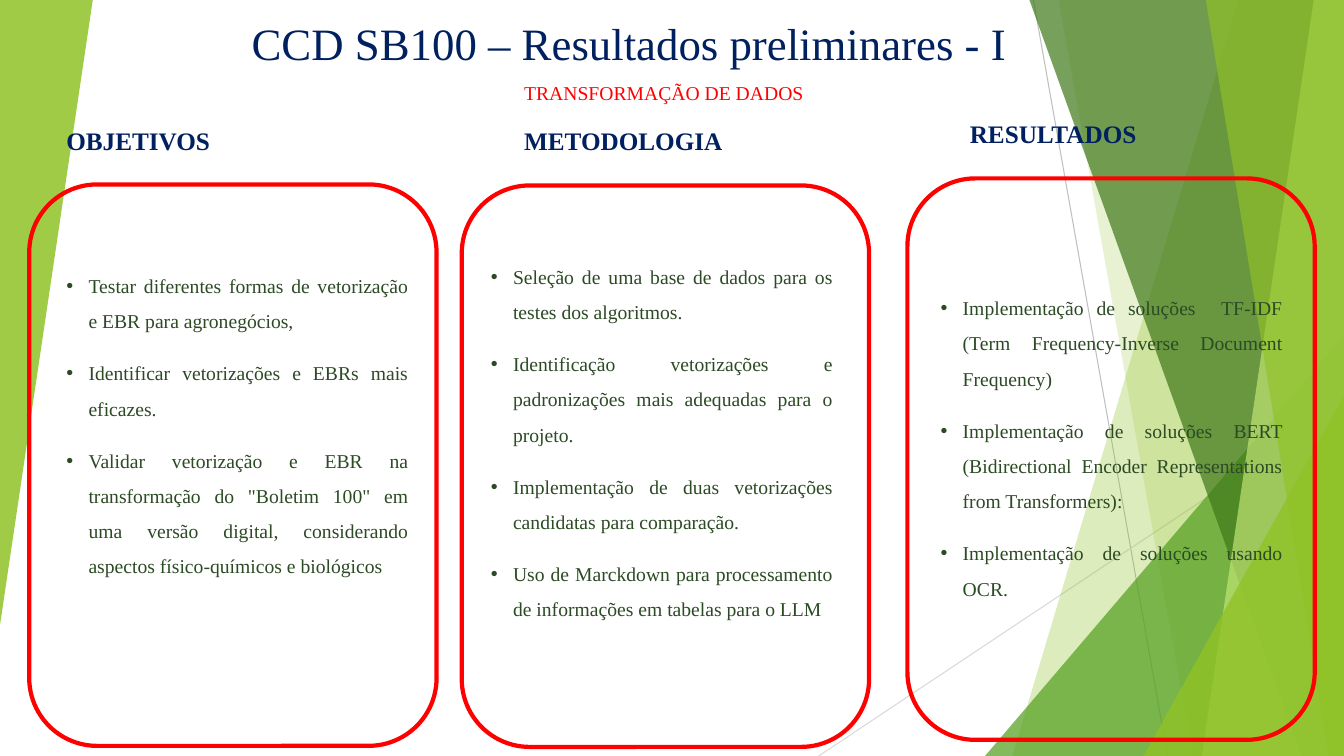
from lxml import etree
from pptx import Presentation
from pptx import util as u
from pptx.dml.color import RGBColor
from pptx.enum import shapes, text
from pptx.oxml.ns import qn

PX = 9144  # EMU per px, 100 px to the inch
WIDTH, HEIGHT = 1333, 750

NAVY = RGBColor(0x00, 0x20, 0x60)
RED = RGBColor(0xFF, 0x00, 0x00)
BODY_GREEN = RGBColor(0x2C, 0x4A, 0x24)
LIME = RGBColor(0x90, 0xC2, 0x26)
PALE_LIME = RGBColor(0xC0, 0xE4, 0x74)
GREEN = RGBColor(0x54, 0xA0, 0x21)
DARK_GREEN = RGBColor(0x3F, 0x78, 0x19)
GREY = RGBColor(0xBF, 0xBF, 0xBF)
LIGHT_GREY = RGBColor(0xD9, 0xD9, 0xD9)


class SlideBuilder:
    font_name = "Times New Roman"

    def __init__(self, slide):
        self.slide = slide
        self.shapes = slide.shapes

    def px(self, *lengths):
        return [u.Emu(length * PX) for length in lengths]

    def style(self, paragraph, size, color, bold=False):
        font = paragraph.font
        font.name, font.size, font.bold = self.font_name, u.Pt(size), bold
        font.color.rgb = color

    def fill(self, shape, color, opacity):
        shape.shadow.inherit = False
        shape.line.fill.background()
        shape.fill.solid()
        shape.fill.fore_color.rgb = color
        color_element = shape.fill._xPr.find(".//" + qn("a:srgbClr"))
        etree.SubElement(color_element, qn("a:alpha"), val=str(opacity * 1000))

    def line(self, start, end, color):
        connector = self.shapes.add_connector(
            shapes.MSO_CONNECTOR.STRAIGHT, *self.px(*start, *end))
        connector.line.color.rgb = color
        connector.line.width = u.Pt(0.75)
        etree.SubElement(connector._element.spPr, qn("a:effectLst"))

    def band(self, top_left, bottom_left, color, opacity):
        """Area from a slanted left edge to the right side of the slide."""
        builder = self.shapes.build_freeform(top_left, 0, scale=PX)
        builder.add_line_segments(
            [(WIDTH, 0), (WIDTH, HEIGHT), (bottom_left, HEIGHT)], close=True)
        self.fill(builder.convert_to_shape(), color, opacity)

    def triangle(self, box, color, opacity, rotation=0):
        shape = self.shapes.add_shape(
            shapes.MSO_SHAPE.ISOSCELES_TRIANGLE, *self.px(*box))
        shape.adjustments[0] = 1
        shape.rotation = rotation
        self.fill(shape, color, opacity)

    def title(self, box, words):
        title = self.shapes.title
        self.shapes._spTree.append(title._element)  # in front of the decoration
        title.left, title.top, title.width, title.height = self.px(*box)
        frame = title.text_frame
        frame.text = words
        frame.vertical_anchor = text.MSO_ANCHOR.TOP
        frame.auto_size = text.MSO_AUTO_SIZE.SHAPE_TO_FIT_TEXT
        paragraph = frame.paragraphs[0]
        paragraph.alignment = text.PP_ALIGN.CENTER
        self.style(paragraph, 32, NAVY)

    def text_frame(self, box, wrap=True):
        frame = self.shapes.add_textbox(*self.px(*box)).text_frame
        frame.word_wrap = wrap
        frame.auto_size = text.MSO_AUTO_SIZE.SHAPE_TO_FIT_TEXT
        return frame

    def label(self, box, words, size, color, bold=False, wrap=True):
        frame = self.text_frame(box, wrap)
        frame.text = words
        self.style(frame.paragraphs[0], size, color, bold)

    def bullets(self, box, items):
        frame = self.text_frame(box)
        for index, item in enumerate(items):
            paragraph = frame.add_paragraph() if index else frame.paragraphs[0]
            paragraph.text = item
            properties = paragraph._p.get_or_add_pPr()
            margin, indent = self.px(45, -22)
            properties.set("marL", str(margin))
            properties.set("indent", str(indent))
            etree.SubElement(properties, qn("a:buFont"), typeface="Arial")
            etree.SubElement(properties, qn("a:buChar"), char="•")
            paragraph.alignment = text.PP_ALIGN.JUSTIFY
            paragraph.line_spacing = 1.5
            paragraph.space_before = u.Pt(6 if index else 0)
            paragraph.space_after = u.Pt(6)
            self.style(paragraph, 14, BODY_GREEN)

    def frame(self, left, top):
        shape = self.shapes.add_shape(
            shapes.MSO_SHAPE.ROUNDED_RECTANGLE, *self.px(left, top, 404, 557))
        shape.shadow.inherit = False
        shape.fill.background()
        shape.line.color.rgb = RED
        shape.line.width = u.Pt(3)


# Heading, heading box, list box, frame corner, list items
COLUMNS = [
    ("OBJETIVOS", (56, 119, 170, 40), (33, 255, 382, 322), (29, 183), [
        "Testar diferentes formas de vetorização e EBR para agronegócios,",
        "Identificar vetorizações e EBRs mais eficazes.",
        "Validar vetorização e EBR na transformação do \"Boletim 100\" em uma "
        "versão digital, considerando aspectos físico-químicos e biológicos",
    ]),
    ("METODOLOGIA", (510, 119, 229, 40), (454, 246, 382, 427), (458, 184), [
        "Seleção de uma base de dados para os testes dos algoritmos.",
        "Identificação vetorizações e padronizações mais adequadas para o projeto.",
        "Implementação de duas vetorizações candidatas para comparação.",
        "Uso de Marckdown para processamento de informações em tabelas para o LLM",
    ]),
    ("RESULTADOS", (952, 112, 229, 40), (900, 277, 382, 322), (900, 177), [
        "Implementação de soluções  TF-IDF (Term Frequency-Inverse Document Frequency)",
        "Implementação de soluções BERT (Bidirectional Encoder Representations "
        "from Transformers):",
        "Implementação de soluções usando OCR.",
    ]),
]


def main():
    presentation = Presentation()
    presentation.slide_width = u.Emu(WIDTH * PX)
    presentation.slide_height = u.Emu(HEIGHT * PX)
    title_only = presentation.slide_layouts[5]
    builder = SlideBuilder(presentation.slides.add_slide(title_only))

    # Green decoration
    builder.line((1025, 0), (1158, HEIGHT), GREY)
    builder.line((WIDTH, 403), (812, HEIGHT), LIGHT_GREY)
    builder.band(1228, 1004, LIME, 30)
    builder.band(1050, 1183, LIME, 20)
    builder.triangle((977, 333, 356, 417), GREEN, 72)
    builder.band(1021, 1291, DARK_GREEN, 70)
    builder.band(1303, 1192, PALE_LIME, 70)
    builder.band(1196, 1318, LIME, 65)
    builder.triangle((1134, 393, 199, 357), LIME, 80)
    builder.triangle((0, 0, 92, 620), LIME, 85, rotation=180)

    # Title and subtitle
    builder.title((167, 11, 914, 64), "CCD SB100 – Resultados preliminares - I")
    builder.label((510, 75, 300, 34), "TRANSFORMAÇÃO DE DADOS", 14, RED, wrap=False)

    # Three columns
    for heading, heading_box, list_box, corner, items in COLUMNS:
        builder.label(heading_box, heading, 18, NAVY, bold=True)
        builder.bullets(list_box, items)
        builder.frame(*corner)

    presentation.save("out.pptx")


if __name__ == "__main__":
    main()
